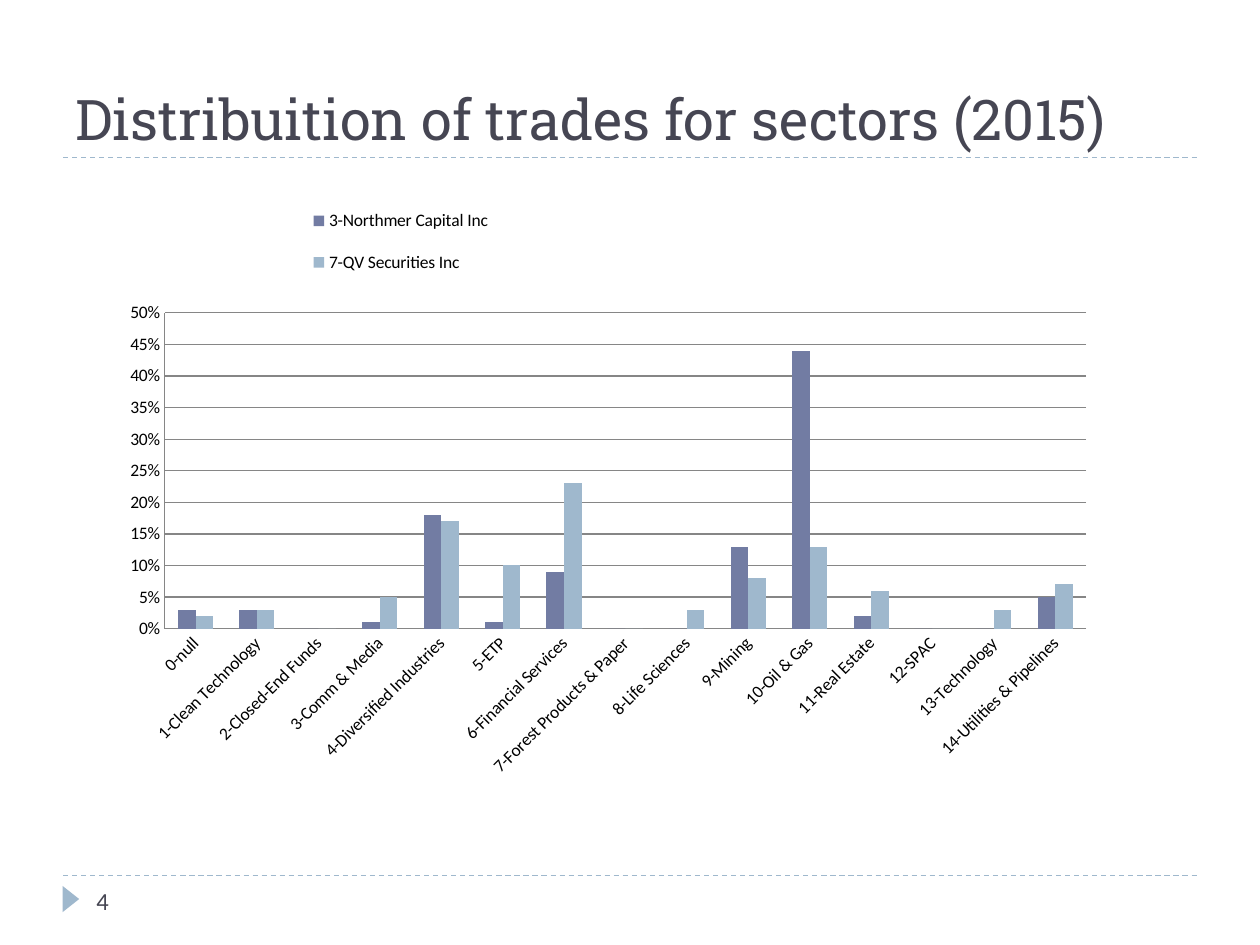
from pptx import Presentation
from pptx.chart.data import CategoryChartData
from pptx.dml.color import RGBColor
from pptx.enum.chart import XL_CHART_TYPE as Chart, XL_LEGEND_POSITION as Legend
from pptx.enum.chart import XL_TICK_MARK as Tick
from pptx.enum.dml import MSO_LINE as Dash
from pptx.enum.shapes import MSO_CONNECTOR as Link, MSO_SHAPE as Shape
from pptx.enum.text import MSO_ANCHOR as Anchor
from pptx.oxml import parse_xml
from pptx.oxml.ns import nsdecls, qn
from pptx.util import Pt

INK, BLUE, PALE, GRAY = "464653", "727CA3", "9FB8CD", "868686"

SECTORS = [
    "0-null", "1-Clean Technology", "2-Closed-End Funds", "3-Comm & Media",
    "4-Diversified Industries", "5-ETP", "6-Financial Services",
    "7-Forest Products & Paper", "8-Life Sciences", "9-Mining",
    "10-Oil & Gas", "11-Real Estate", "12-SPAC", "13-Technology",
    "14-Utilities & Pipelines",
]
TRADES = [
    ("3-Northmer Capital Inc", BLUE,
     [.03, .03, 0, .01, .18, .01, .09, 0, 0, .13, .44, .02, 0, 0, .05]),
    ("7-QV Securities Inc", PALE,
     [.02, .03, 0, .05, .17, .1, .23, 0, .03, .08, .13, .06, 0, .03, .07]),
]


def paint(fmt, color):
    """Give a fill or a font one solid colour."""
    if hasattr(fmt, "solid"):
        fmt.solid()
        fmt.fore_color.rgb = RGBColor.from_string(color)
    else:
        fmt.color.rgb = RGBColor.from_string(color)


def add_rule(slide, y):
    rule = slide.shapes.add_connector(Link.STRAIGHT, Pt(36), Pt(y), Pt(684), Pt(y))
    paint(rule.line.fill, PALE)
    rule.line.width = Pt(0.75)
    rule.line.dash_style = Dash.DASH
    rule._element.spPr.append(parse_xml(f"<a:effectLst {nsdecls('a')}/>"))


def add_text(slide, text, box, size, face, anchor):
    frame = slide.shapes.add_textbox(*map(Pt, box)).text_frame
    frame.word_wrap = True
    frame.vertical_anchor = anchor
    frame.text = text
    font = frame.paragraphs[0].runs[0].font
    font.size, font.name = Pt(size), face
    paint(font, INK)


def add_mark(slide):
    mark = slide.shapes.add_shape(
        Shape.ISOSCELES_TRIANGLE, Pt(33), Pt(509), Pt(15), Pt(9.5))
    mark.rotation = 90
    mark.shadow.inherit = False
    paint(mark.fill, PALE)
    mark.line.fill.background()


def set_layout(part, x, y, w, h, inner=False):
    """Place the plot or the legend by fractions of the chart."""
    target = '<c:layoutTarget val="inner"/>' if inner else ""
    spots = "".join(f'<c:{k} val="{v}"/>' for k, v in zip("xywh", (x, y, w, h)))
    layout = parse_xml(
        f"<c:layout {nsdecls('c')}><c:manualLayout>{target}"
        f'<c:xMode val="edge"/><c:yMode val="edge"/>{spots}'
        "</c:manualLayout></c:layout>")
    old = part.find(qn("c:layout"))
    if old is not None:
        part.remove(old)
    part.insert(0 if inner else 1, layout)


def style_axis(axis):
    axis.major_tick_mark = axis.minor_tick_mark = Tick.NONE
    axis.tick_labels.font.size = Pt(10)
    paint(axis.format.line.fill, GRAY)


def add_bars(slide):
    data = CategoryChartData(number_format="0%")
    data.categories = SECTORS
    for name, _, vals in TRADES:
        data.add_series(name, vals)
    chart = slide.shapes.add_chart(
        Chart.COLUMN_CLUSTERED, Pt(30), Pt(108), Pt(642), Pt(354), data).chart
    chart.has_title = False
    chart.font.size, chart.font.name = Pt(10), "Calibri"
    paint(chart.font, "000000")

    # Columns
    plot = chart.plots[0]
    plot.gap_width, plot.overlap = 150, 0
    plot.vary_by_categories = False
    for series, (_, color, _) in zip(plot.series, TRADES):
        paint(series.format.fill, color)

    # Axes
    cat, val = chart.category_axis, chart.value_axis
    style_axis(cat)
    style_axis(val)
    cat._element.txPr.find(qn("a:bodyPr")).set("rot", "-2700000")
    val.minimum_scale, val.maximum_scale, val.major_unit = 0, 0.5, 0.05
    val.tick_labels.number_format = "0%"
    val.tick_labels.number_format_is_linked = False
    val.has_major_gridlines = True
    paint(val.major_gridlines.format.line.fill, GRAY)

    # Legend above the plot
    chart.has_legend = True
    chart.legend.position = Legend.RIGHT
    chart.legend.include_in_layout = False
    set_layout(chart.legend._element, 0.22, 0, 0.18, 0.17)
    set_layout(chart._chartSpace.chart.plotArea, 0.1, 0.2, 0.82, 0.51, inner=True)


def main():
    deck = Presentation()
    deck.slide_width, deck.slide_height = Pt(720), Pt(540)
    slide = deck.slides.add_slide(deck.slide_layouts[6])

    # Frame of the page
    for y in (500.5, 90):
        add_rule(slide, y)
    add_mark(slide)

    # Title and page number
    add_text(slide, "Distribuition of trades for sectors (2015)",
             (36, 12, 648, 78), 32, "Roboto Slab", Anchor.BOTTOM)
    add_text(slide, "4", (48, 500, 156, 29), 14, "Calibri", Anchor.MIDDLE)

    add_bars(slide)
    deck.save("out.pptx")


if __name__ == "__main__":
    main()
